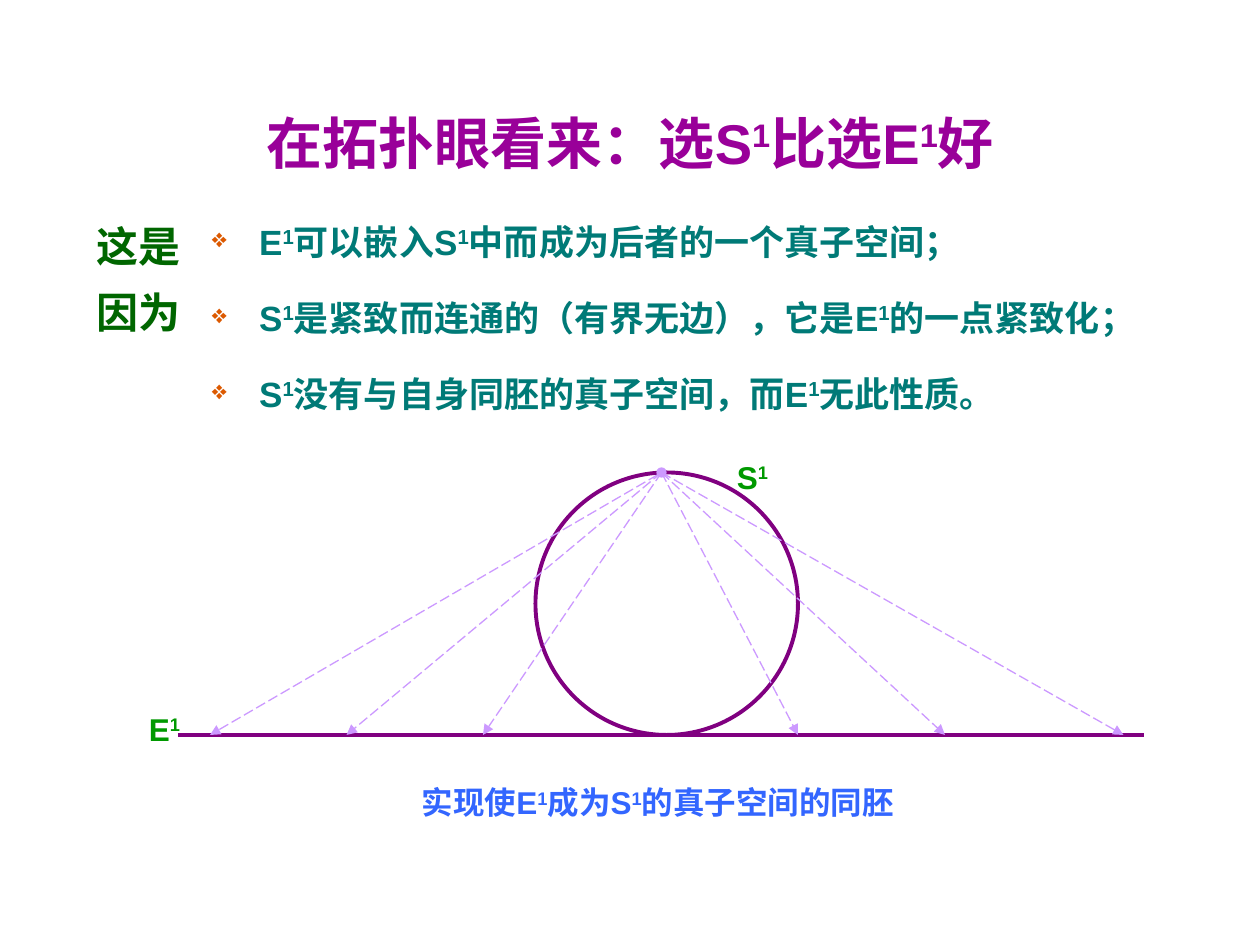
"""Build a slide on why the circle is topologically preferable to the line."""
from dataclasses import dataclass

from lxml.etree import SubElement
from pptx import Presentation
from pptx.dml.color import RGBColor
from pptx.enum.dml import MSO_LINE
from pptx.enum.shapes import MSO_CONNECTOR, MSO_SHAPE
from pptx.enum.text import MSO_ANCHOR, PP_ALIGN
from pptx.oxml.ns import qn
from pptx.util import Emu, Pt


@dataclass(frozen=True)
class Theme:
    font: str = "Arial"
    title: str = "990099"
    body: str = "007A77"
    bullet: str = "DC5900"
    reason: str = "006600"
    curve: str = "800080"
    ray: str = "CC99FF"
    caption: str = "3366FF"
    label: str = "009900"
    title_size: int = 32
    reason_size: int = 24
    body_size: int = 20
    small_size: int = 18
    curve_width: float = 2.25
    ray_width: float = 0.75


@dataclass(frozen=True)
class TextBlock:
    paragraphs: tuple[str, ...]
    box: tuple[int, int, int, int]
    size: int
    color: str
    align: PP_ALIGN = PP_ALIGN.LEFT
    anchor: MSO_ANCHOR = MSO_ANCHOR.TOP
    line_spacing: float = 1.0
    gap: int = 0
    bulleted: bool = False


@dataclass(frozen=True)
class Segment:
    start: tuple[int, int]
    end: tuple[int, int]
    color: str
    width: float
    dashed: bool = False
    head: str = ""
    tail: str = ""


THEME = Theme()
AXIS_Y = 560
POLE = (504, 360)
DIAMETER = AXIS_Y - POLE[1]
RAY_FEET = (264, 856, 368, 608, 720, 160)
TEXTS = (
    TextBlock(("在拓扑眼看来：选S^1比选E^1好",), (32, 72, 896, 72), THEME.title_size,
              THEME.title, align=PP_ALIGN.CENTER, anchor=MSO_ANCHOR.MIDDLE),
    TextBlock(("E^1可以嵌入S^1中而成为后者的一个真子空间；",
               "S^1是紧致而连通的（有界无边），它是E^1的一点紧致化；",
               "S^1没有与自身同胚的真子空间，而E^1无此性质。"),
              (152, 144, 752, 192), THEME.body_size, THEME.body,
              line_spacing=1.6, gap=5, bulleted=True),
    TextBlock(("这是因为",), (64, 152, 104, 109), THEME.reason_size, THEME.reason,
              line_spacing=1.3),
    TextBlock(("实现使E^1成为S^1的真子空间的同胚",), (312, 592, 384, 67),
              THEME.small_size, THEME.caption),
    TextBlock(("S^1",), (552, 344, 64, 38), THEME.small_size, THEME.label),
    TextBlock(("E^1",), (104, 536, 56, 38), THEME.small_size, THEME.label),
)


def px(n: int) -> Emu:
    """Turn pixels into EMU."""
    return Emu(n * 9525)


def add_bullet(p) -> None:
    """Give a paragraph a coloured diamond bullet with a hanging indent."""
    pPr = p._p.get_or_add_pPr()
    pPr.set("marL", str(px(36)))
    pPr.set("indent", str(px(-36)))
    SubElement(SubElement(pPr, qn("a:buClr")), qn("a:srgbClr"), val=THEME.bullet)
    SubElement(pPr, qn("a:buSzPct"), val="75000")
    SubElement(pPr, qn("a:buChar"), char="❖")


def add_run(p, text: str, block: TextBlock, raised: bool = False) -> None:
    """Append one formatted run, raised when it is a superscript."""
    r = p.add_run()
    r.text = text
    r.font.name = THEME.font
    r.font.size = Pt(block.size)
    r.font.bold = True
    r.font.color.rgb = RGBColor.from_string(block.color)
    if raised:
        r.font._element.set("baseline", "30000")


def add_text(s, block: TextBlock) -> None:
    """Draw a text block, raising the character after each caret."""
    tf = s.shapes.add_textbox(*map(px, block.box)).text_frame
    tf.word_wrap = True
    tf.vertical_anchor = block.anchor
    for i, text in enumerate(block.paragraphs):
        p = tf.add_paragraph() if i else tf.paragraphs[0]
        p.alignment = block.align
        p.line_spacing = block.line_spacing
        p.space_before = Pt(block.gap if i else 0)
        if block.bulleted:
            add_bullet(p)
        first, *rest = text.split("^")
        add_run(p, first, block)
        for part in rest:
            add_run(p, part[0], block, raised=True)
            if part[1:]:
                add_run(p, part[1:], block)


def add_segment(s, seg: Segment) -> None:
    """Draw a straight line with optional dashes and end marks."""
    sp = s.shapes.add_connector(MSO_CONNECTOR.STRAIGHT, *map(px, seg.start + seg.end))
    sp.line.color.rgb = RGBColor.from_string(seg.color)
    sp.line.width = Pt(seg.width)
    if seg.dashed:
        sp.line.dash_style = MSO_LINE.LONG_DASH
    ln = sp.line._get_or_add_ln()
    for tag, mark in (("a:headEnd", seg.head), ("a:tailEnd", seg.tail)):
        if mark:
            SubElement(ln, qn(tag), type=mark)
    SubElement(sp._element.spPr, qn("a:effectLst"))


def add_circle(s) -> None:
    """Draw the circle resting on the axis."""
    sp = s.shapes.add_shape(MSO_SHAPE.OVAL, px(408), px(POLE[1]), px(DIAMETER), px(DIAMETER))
    sp.shadow.inherit = False
    sp.fill.background()
    sp.line.color.rgb = RGBColor.from_string(THEME.curve)
    sp.line.width = Pt(THEME.curve_width)


def main() -> None:
    """Assemble and save the slide."""
    prs = Presentation()
    prs.slide_width, prs.slide_height = px(960), px(720)
    s = prs.slides.add_slide(prs.slide_layouts[6])
    add_segment(s, Segment((136, AXIS_Y), (872, AXIS_Y), THEME.curve, THEME.curve_width))
    add_circle(s)
    for x in RAY_FEET:
        head = "oval" if x == RAY_FEET[-1] else ""
        add_segment(s, Segment(POLE, (x, AXIS_Y), THEME.ray, THEME.ray_width,
                               dashed=True, head=head, tail="triangle"))
    for block in TEXTS:
        add_text(s, block)
    prs.save("out.pptx")


if __name__ == "__main__":
    main()
